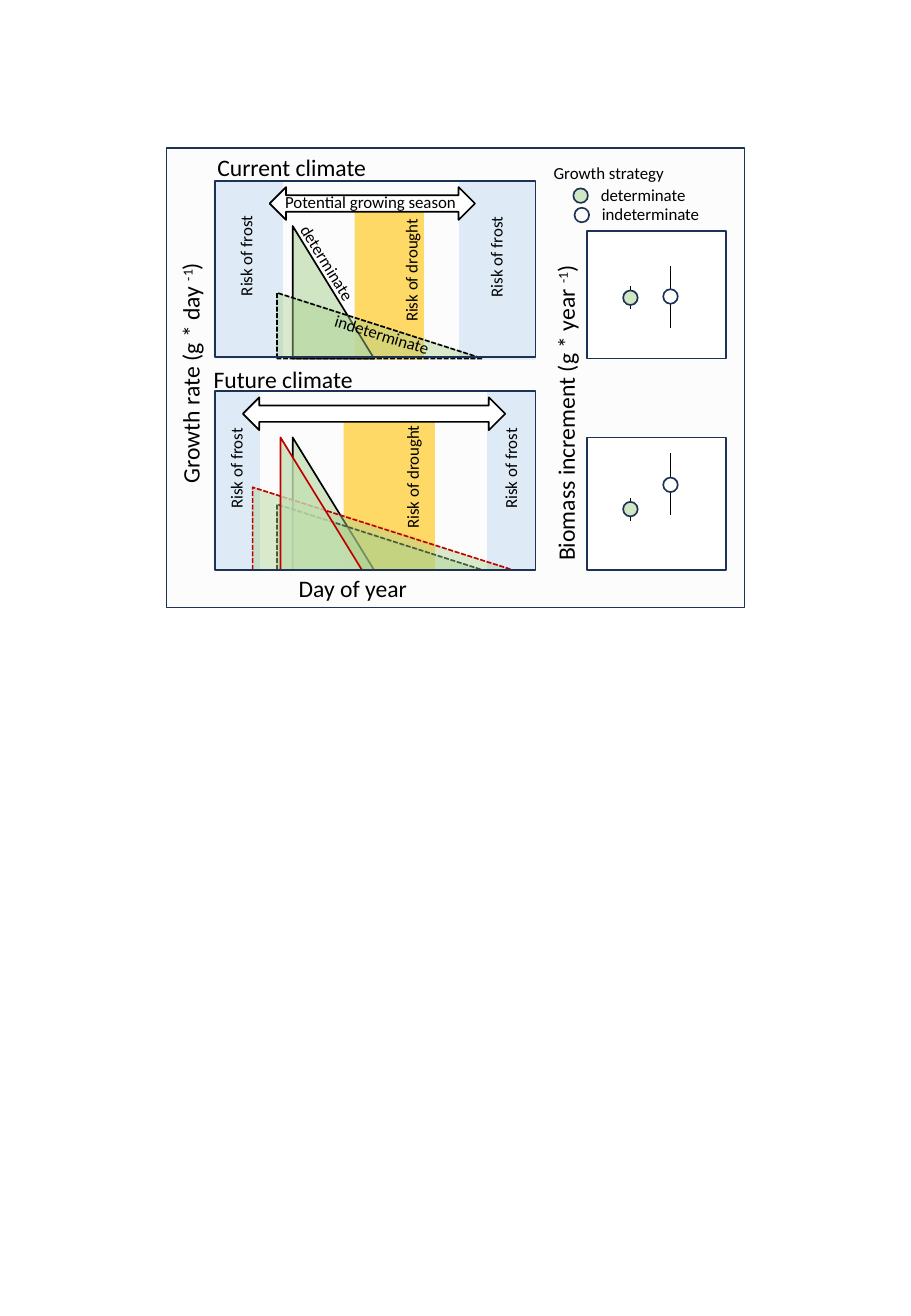
from lxml import etree
from pptx import Presentation
from pptx import util as u
from pptx.dml.color import RGBColor
from pptx.enum import dml, shapes, text
from pptx.oxml.ns import qn

PX = 9144  # 100 px to the inch
NAVY = RGBColor(0x1E, 0x32, 0x56)
BLACK = RGBColor(0, 0, 0)
WHITE = RGBColor(255, 255, 255)
PALE_GREY = RGBColor(0xF2, 0xF2, 0xF2)
FROST = RGBColor(0xDE, 0xEB, 0xF7)
DROUGHT = RGBColor(0xFF, 0xD9, 0x66)
RED = RGBColor(0xC0, 0, 0)
LIGHT_GREEN = RGBColor(0xC5, 0xE0, 0xB4)
MID_GREEN = RGBColor(0xA9, 0xD1, 0x8E)
MARKER_GREEN = RGBColor(0xD1, 0xE7, 0xC4)

RECT = shapes.MSO_SHAPE.RECTANGLE
TRIANGLE = shapes.MSO_SHAPE.RIGHT_TRIANGLE
CIRCLE = shapes.MSO_SHAPE.OVAL
ARROW = shapes.MSO_SHAPE.LEFT_RIGHT_ARROW

prs = Presentation()
prs.slide_width, prs.slide_height = 750 * PX, 1083 * PX
s = prs.slides.add_slide(prs.slide_layouts[6])


def add_block(kind, box, fill=None, line=None, opacity=100, dashed=False):
    """Add a preset shape; None means no fill or no outline."""
    sp = s.shapes.add_shape(kind, *[v * PX for v in box])
    sp.shadow.inherit = False
    if fill is None:
        sp.fill.background()
    else:
        sp.fill.solid()
        sp.fill.fore_color.rgb = fill
        if opacity < 100:
            color = sp.fill._xPr.find(qn("a:solidFill"))[0]
            etree.SubElement(color, qn("a:alpha")).set("val", str(opacity * 1000))
    if line is None:
        sp.line.fill.background()
    else:
        sp.line.color.rgb = line
        sp.line.width = u.Pt(1)
        if dashed:
            sp.line.dash_style = dml.MSO_LINE.SQUARE_DOT


def add_label(runs, x, y, w=137, size=10, rotation=0, align=text.PP_ALIGN.CENTER):
    """Add a one-line text box; every second run is superscript."""
    h = 27 if size == 10 else 34
    sp = s.shapes.add_textbox(x * PX, y * PX, w * PX, h * PX)
    sp.rotation = rotation
    tf = sp.text_frame
    tf.word_wrap = True
    tf.auto_size = text.MSO_AUTO_SIZE.SHAPE_TO_FIT_TEXT
    p = tf.paragraphs[0]
    p.alignment = align
    for i, words in enumerate(runs):
        r = p.add_run()
        r.text = words
        r.font.name = "Calibri"
        r.font.size = u.Pt(size)
        r.font.color.rgb = BLACK
        if i % 2:
            r._r.get_or_add_rPr().set("baseline", "30000")


# Outer frame and the two biomass plots
add_block(RECT, (137, 122, 476, 378), PALE_GREY, NAVY, opacity=21)
for top, height in [(190, 105), (360, 109)]:
    add_block(RECT, (483, top, 115, height), WHITE, NAVY)

# Climate panels: boxes are left, top, width, height
climates = [
    dict(title=("Current climate", 169, 121), frame=(177, 149, 264, 145),
         frost=[(176, 149, 57, 146), (378, 150, 63, 146)],
         drought=(292, 172, 57, 124), base=295,
         risks=[("frost", 340, 198), ("frost", 134, 197), ("drought", 270, 209)],
         arrow=(222, 154, 169, 27), shifted=[]),
    dict(title=("Future climate", 166, 295), frame=(177, 322, 264, 147),
         frost=[(176, 322, 38, 147), (401, 322, 40, 147)],
         drought=(283, 346, 75, 124), base=469,
         risks=[("frost", 352, 372), ("frost", 126, 372), ("drought", 271, 379)],
         arrow=(200, 327, 216, 27),
         shifted=[(208, 214, 68, MID_GREEN, 43, True),
                  (231, 67, 109, LIGHT_GREEN, 79, False)]),
]
for c in climates:
    left_frost, right_frost = c["frost"]
    base = c["base"]
    add_block(RECT, left_frost, FROST)
    add_block(RECT, c["drought"], DROUGHT)
    add_block(TRIANGLE, (241, base - 109, 67, 109), LIGHT_GREEN, BLACK, opacity=79)
    add_block(RECT, right_frost, FROST)
    add_block(TRIANGLE, (228, base - 54, 169, 54), MID_GREEN, BLACK, opacity=43, dashed=True)
    for risk, x, y in c["risks"]:
        add_label([f"Risk of {risk}"], x, y, rotation=270)
    for x, w, h, fill, opacity, dashed in c["shifted"]:
        add_block(TRIANGLE, (x, base - h, w, h), fill, RED, opacity, dashed)
    title, x, y = c["title"]
    add_label([title], x, y, w=238, size=14, align=text.PP_ALIGN.LEFT)
    add_block(RECT, c["frame"], None, NAVY)
    add_block(ARROW, c["arrow"], WHITE, BLACK)

# Axis titles and curve names
add_label(["Growth rate (g * day ", "-1", ")"], -21, 290, w=356, size=14, rotation=270)
add_label(["Biomass increment (g * year ", "-1", ")"], 306, 323, w=320, size=14, rotation=270)
add_label(["Day of year"], 222, 467, size=14)
add_label(["Potential growing season"], 222, 153, w=166)
add_label(["determinate"], 201, 203, rotation=58.2)
add_label(["indeterminate"], 246, 262, rotation=17)

# Legend
add_label(["Growth strategy"], 446, 129, align=text.PP_ALIGN.LEFT)
add_label(["determinate"], 461, 147)
add_label(["indeterminate"], 467, 163)
add_block(CIRCLE, (472, 155, 12, 12), MARKER_GREEN, NAVY)
add_block(CIRCLE, (473, 171, 12, 12), None, NAVY)

# Biomass estimates: whisker x, top, bottom, then marker top and fill
estimates = [
    (519, 235, 254, 239, MARKER_GREEN), (552, 219, 270, 238, WHITE),
    (519, 410, 429, 413, MARKER_GREEN), (552, 373, 424, 393, WHITE),
]
for x, top, bottom, marker_top, fill in estimates:
    whisker = s.shapes.add_connector(
        shapes.MSO_CONNECTOR.STRAIGHT, x * PX, bottom * PX, x * PX, top * PX)
    whisker.line.color.rgb = BLACK
    whisker.line.width = u.Pt(1)
    etree.SubElement(whisker._element.spPr, qn("a:effectLst"))
    add_block(CIRCLE, (x - 6, marker_top, 12, 12), fill, NAVY)

prs.save("out.pptx")
